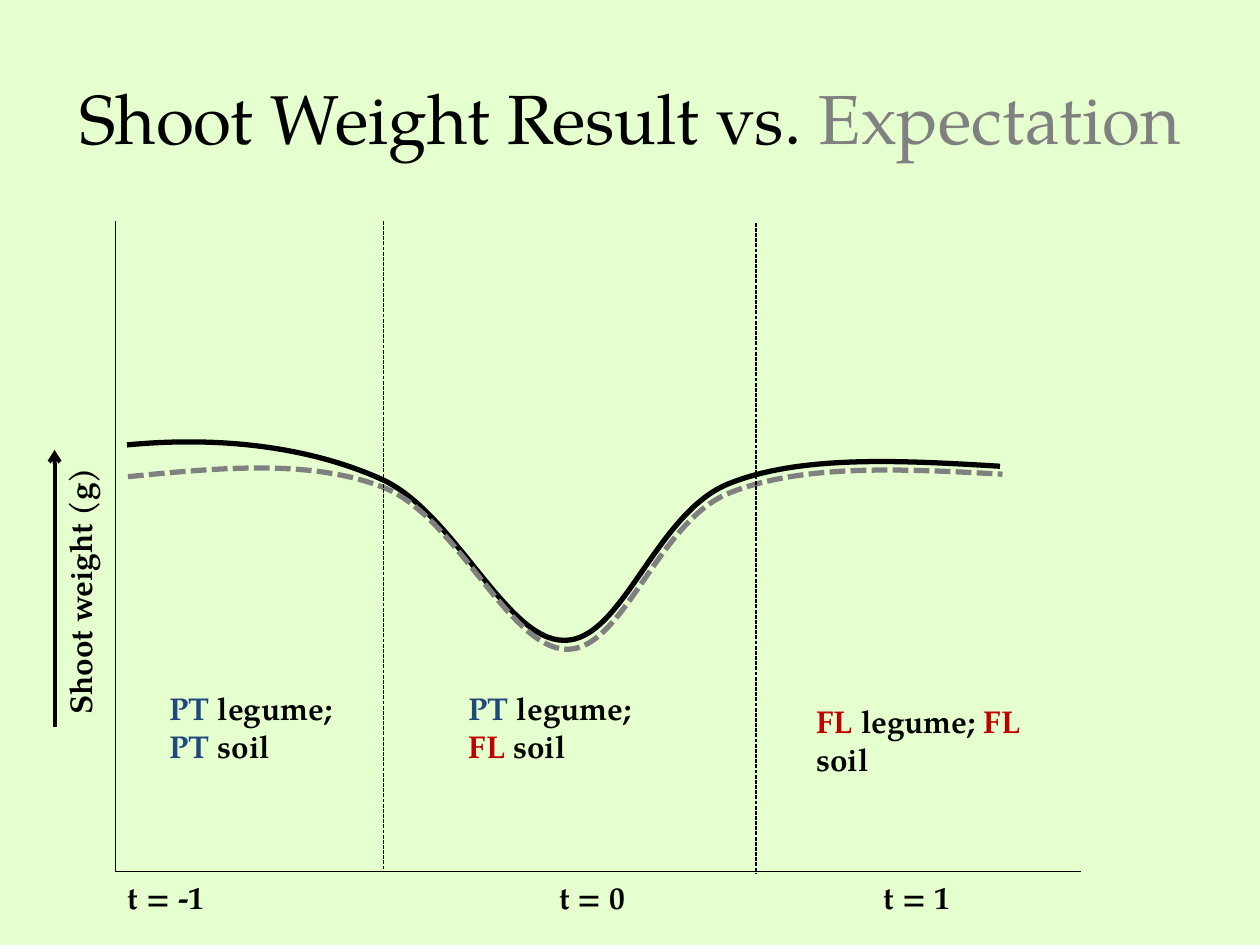
import dataclasses
import pptx
import pptx.dml.color
import pptx.enum.dml
import pptx.enum.shapes
import pptx.enum.text
import pptx.oxml.ns
import pptx.util
import lxml.etree

Cm = pptx.util.Cm
Pt = pptx.util.Pt
qn = pptx.oxml.ns.qn
RGB = pptx.dml.color.RGBColor.from_string


@dataclasses.dataclass(frozen=True)
class Theme:
    """Colours, font and type sizes of the slide."""
    ground: str = "E6FFCE"
    ink: str = "000000"
    gray: str = "808080"
    blue: str = "1F497D"
    red: str = "C00000"
    face: str = "TeX Gyre Pagella"
    head: float = 39.6
    body: float = 18


THEME = Theme()
PT = ("PT ", THEME.blue)
FL = ("FL ", THEME.red)
PLANT = ("legume; ", THEME.ink)
SOIL = ("soil", THEME.ink)
RESULT = [(0.23, 4.52), (2.08, 4.34), (3.89, 4.55), (5.36, 5.21), (6.83, 5.87),
          (7.87, 8.46), (9.04, 8.46), (10.21, 8.48), (10.87, 5.92),
          (12.34, 5.31), (13.79, 4.72), (15.82, 4.83), (17.83, 4.95)]
EXPECT = [(0.25, 5.16), (2.08, 4.98), (3.94, 4.8), (5.41, 5.38), (6.88, 5.97),
          (7.92, 8.61), (9.09, 8.64), (10.24, 8.66), (10.92, 6.07),
          (12.37, 5.49), (13.84, 4.9), (15.85, 5), (17.88, 5.11)]


def write(slide, box, lines, size=THEME.body, bold=True):
    """Add a text box whose lines are lists of (text, colour) runs."""
    frame = slide.shapes.add_textbox(*map(Cm, box)).text_frame
    frame.word_wrap = True
    for i, line in enumerate(lines):
        para = frame.add_paragraph() if i else frame.paragraphs[0]
        para.font.name = THEME.face
        para.font.size = Pt(size)
        para.font.bold = bold
        for text, color in line:
            run = para.add_run()
            run.text = text
            run.font.color.rgb = RGB(color)
    return frame


def stroke(shape, width, color=THEME.ink, dashed=False):
    """Style the outline of a shape or connector."""
    shape.line.color.rgb = RGB(color)
    shape.line.width = Pt(width)
    if dashed:
        shape.line.dash_style = pptx.enum.dml.MSO_LINE.SQUARE_DOT


def rule(slide, start, end, width=0.75, dashed=False):
    """Draw a straight line without a shadow."""
    kind = pptx.enum.shapes.MSO_CONNECTOR.STRAIGHT
    line = slide.shapes.add_connector(kind, *map(Cm, (*start, *end)))
    stroke(line, width, dashed=dashed)
    lxml.etree.SubElement(line._element.spPr, qn("a:effectLst"))
    return line


def curve(slide, left, top, knots, color, dashed=False):
    """Draw a chain of cubic Bezier curves offset from the plot corner."""
    points = [(Cm(left + x), Cm(top + y)) for x, y in knots]
    build = slide.shapes.build_freeform(*points[0], scale=1.0)
    build.add_line_segments(points[3::3], close=False)
    shape = build.convert_to_shape()
    for i, step in enumerate(list(shape._element.iter(qn("a:lnTo")))):
        bend = lxml.etree.Element(qn("a:cubicBezTo"))
        for x, y in points[3 * i + 1:3 * i + 4]:
            lxml.etree.SubElement(bend, qn("a:pt"), x=str(x - shape.left),
                                  y=str(y - shape.top))
        step.getparent().replace(step, bend)
    shape.shadow.inherit = False
    shape.fill.background()
    stroke(shape, 3, color, dashed)


def title(slide, box):
    """Write the two-colour heading."""
    runs = [("Shoot Weight Result vs. ", THEME.ink), ("Expectation", THEME.gray)]
    frame = write(slide, box, [runs], THEME.head, False)
    frame.margin_left = frame.margin_right = 0
    frame.vertical_anchor = pptx.enum.text.MSO_ANCHOR.MIDDLE
    frame.paragraphs[0].alignment = pptx.enum.text.PP_ALIGN.CENTER


def plot(slide, box):
    """Draw axes, both curves, phase dividers and treatment labels."""
    left, top, width, height = box
    base = top + height
    rule(slide, (left, top), (left, base))
    rule(slide, (left + width, base), (left, base))
    curve(slide, left, top, RESULT, THEME.ink)
    curve(slide, left, top, EXPECT, THEME.gray, True)
    for x, drop in ((5.4, 0), (12.91, 0.04)):
        rule(slide, (left + x, top + drop), (left + x, base + drop), dashed=True)
    for x, y, wide, tall, lines in (
            (0.84, 9.32, 5.31, 1.8, [[PT, ("legume;", THEME.ink)], [PT, SOIL]]),
            (6.87, 9.32, 4.45, 2.57, [[PT, PLANT, FL, SOIL]]),
            (13.88, 9.58, 4.75, 1.8, [[FL, PLANT, FL, SOIL]])):
        write(slide, (left + x, top + y, wide, tall), lines)


def times(slide, box):
    """Write the time labels on tab stops below the plot."""
    frame = write(slide, box, [[("t = -1\tt = 0\tt = 1", THEME.ink)]])
    props = frame.paragraphs[0]._p.get_or_add_pPr()
    tabs = lxml.etree.Element(qn("a:tabLst"))
    for stop in (8.7, 15.24):
        lxml.etree.SubElement(tabs, qn("a:tab"), pos=str(Cm(stop)), algn="l")
    props.insert(0, tabs)


def scale(slide, box):
    """Write the upright axis label beside its arrow."""
    left, top, width, height = box
    frame = write(slide, box, [[("Shoot weight (g)", THEME.ink)]])
    frame._txBody.bodyPr.set("vert", "vert270")
    base = top + height
    arrow = rule(slide, (left, base), (left, base - 5.59), 2.25)
    lxml.etree.SubElement(arrow.line._get_or_add_ln(), qn("a:tailEnd"), type="arrow")


def main():
    """Build the slide and save it."""
    deck = pptx.Presentation()
    deck.slide_width, deck.slide_height = Cm(25.4), Cm(19.05)
    slide = deck.slides.add_slide(deck.slide_layouts[6])
    slide.background.fill.solid()
    slide.background.fill.fore_color.rgb = RGB(THEME.ground)
    title(slide, (1.27, 0.76, 22.86, 3.18))
    plot(slide, (2.33, 4.45, 19.46, 13.12))
    times(slide, (2.33, 17.58, 19.25, 1.02))
    scale(slide, (1.1, 5.13, 1.27, 9.53))
    deck.save("out.pptx")


if __name__ == "__main__":
    main()
